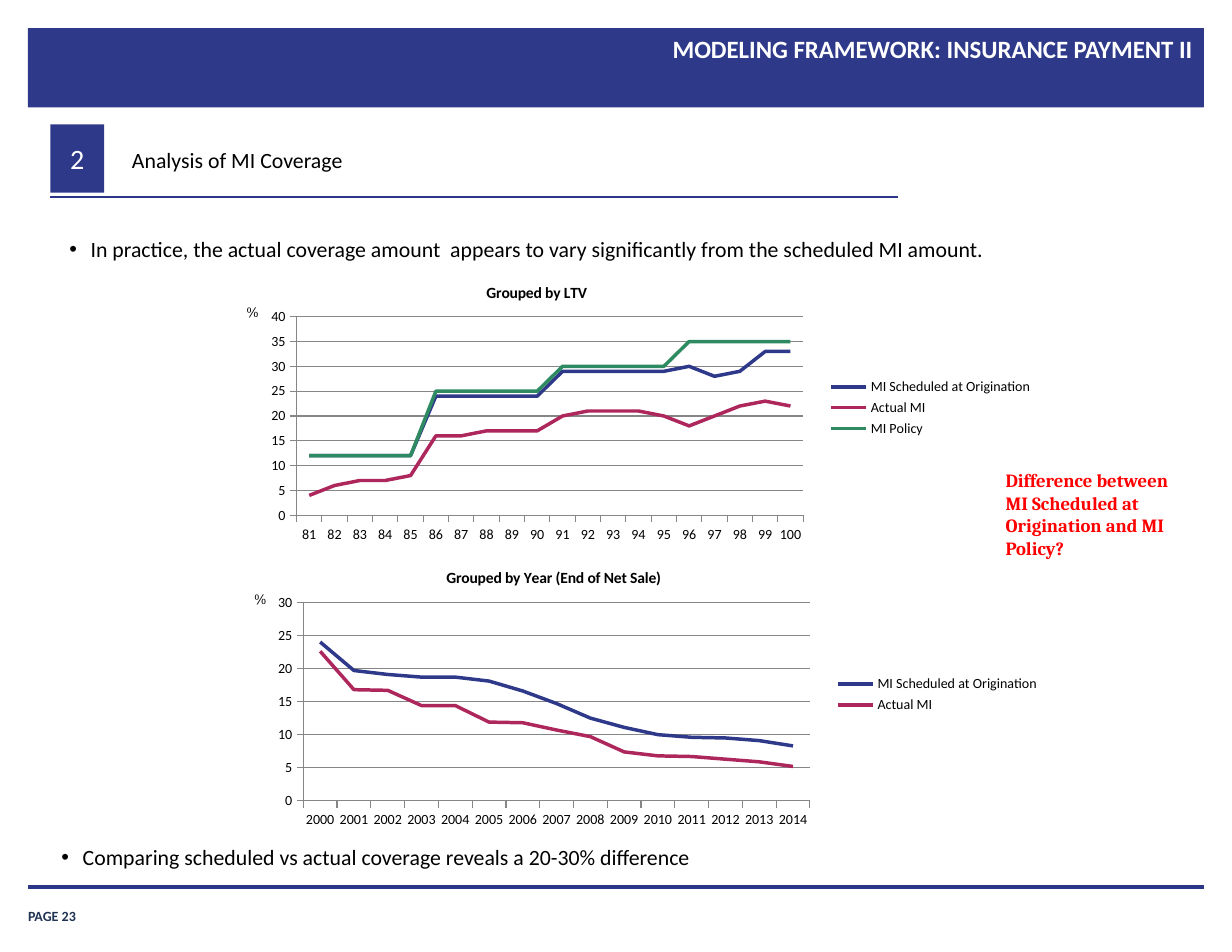
from lxml import etree
from pptx import Presentation
from pptx.chart.data import CategoryChartData
from pptx.dml.color import RGBColor
from pptx.enum.chart import XL_CHART_TYPE, XL_LEGEND_POSITION, XL_MARKER_STYLE, XL_TICK_MARK
from pptx.enum.shapes import MSO_CONNECTOR, MSO_SHAPE
from pptx.enum.text import MSO_ANCHOR, PP_ALIGN
from pptx.oxml.ns import qn
from pptx.util import Inches, Pt

LINE_CHART = XL_CHART_TYPE.LINE
LEGEND_RIGHT = XL_LEGEND_POSITION.RIGHT
NO_MARKER = XL_MARKER_STYLE.NONE
TICK_OUT = XL_TICK_MARK.OUTSIDE
STRAIGHT = MSO_CONNECTOR.STRAIGHT
RECTANGLE = MSO_SHAPE.RECTANGLE
TOP, MIDDLE, BOTTOM = MSO_ANCHOR.TOP, MSO_ANCHOR.MIDDLE, MSO_ANCHOR.BOTTOM
LEFT, CENTER, RIGHT = PP_ALIGN.LEFT, PP_ALIGN.CENTER, PP_ALIGN.RIGHT

BLUE = RGBColor(0x2E, 0x39, 0x8A)
RULE_BLUE = RGBColor(0x2B, 0x36, 0x89)
NAVY = RGBColor(0x20, 0x33, 0x53)
CRIMSON = RGBColor(0xAD, 0x27, 0x5C)
GREEN = RGBColor(0x2E, 0x8A, 0x60)
RED = RGBColor(0xFF, 0x00, 0x00)
GRAY = RGBColor(0x86, 0x86, 0x86)
BLACK = RGBColor(0x00, 0x00, 0x00)
WHITE = RGBColor(0xFF, 0xFF, 0xFF)

SERIES_COLORS = {
    "MI Scheduled at Origination": BLUE,
    "Actual MI": CRIMSON,
    "MI Policy": GREEN,
}
LTV_SERIES = {
    "MI Scheduled at Origination": [12] * 5 + [24] * 5 + [29] * 5 + [30, 28, 29, 33, 33],
    "Actual MI": [4, 6, 7, 7, 8, 16, 16, 17, 17, 17, 20, 21, 21, 21, 20, 18, 20, 22, 23, 22],
    "MI Policy": [12] * 5 + [25] * 5 + [30] * 5 + [35] * 5,
}
YEAR_SERIES = {
    "MI Scheduled at Origination": [
        24, 19.7, 19.1, 18.7, 18.7, 18.1, 16.6, 14.7, 12.5, 11.1, 10, 9.6, 9.5, 9.1, 8.3],
    "Actual MI": [
        22.6, 16.8, 16.7, 14.4, 14.4, 11.9, 11.8, 10.7, 9.7, 7.4, 6.8, 6.7, 6.3, 5.9, 5.2],
}


def set_font(font, size, color=BLACK, bold=False, name="Calibri"):
    for key, value in {"name": name, "size": Pt(size), "bold": bold}.items():
        setattr(font, key, value)
    font.color.rgb = color


def set_frame(frame, anchor=TOP, insets=(0.1, 0.05), wrap=True):
    across, down = (Inches(inset) for inset in insets)
    settings = {
        "word_wrap": wrap, "vertical_anchor": anchor,
        "margin_left": across, "margin_right": across,
        "margin_top": down, "margin_bottom": down,
    }
    for key, value in settings.items():
        setattr(frame, key, value)


def write(frame, text, size, align=LEFT, **font):
    paragraph = frame.paragraphs[0]
    paragraph.text = text
    paragraph.alignment = align
    set_font(paragraph.runs[0].font, size, **font)
    return paragraph


def add_text(slide, box, text, size, anchor=TOP, insets=(0.1, 0.05), wrap=True, **font):
    frame = slide.shapes.add_textbox(*map(Inches, box)).text_frame
    set_frame(frame, anchor, insets, wrap)
    return write(frame, text, size, **font)


def add_bullet(slide, box, text):
    paragraph = add_text(slide, box, text, 14)
    properties = paragraph._p.get_or_add_pPr()
    properties.set("marL", str(Inches(0.19)))
    properties.set("indent", str(Inches(-0.19)))
    paragraph.line_spacing = 1.5
    etree.SubElement(properties, qn("a:buFont"), typeface="Arial")
    etree.SubElement(properties, qn("a:buChar"), char="•")


def add_block(slide, box):
    block = slide.shapes.add_shape(RECTANGLE, *map(Inches, box))
    block.shadow.inherit = False
    block.fill.solid()
    block.fill.fore_color.rgb = BLUE
    block.line.fill.background()
    return block


def add_rule(slide, left, right, y, width):
    rule = slide.shapes.add_connector(STRAIGHT, Inches(left), Inches(y), Inches(right), Inches(y))
    rule.line.color.rgb = RULE_BLUE
    rule.line.width = Pt(width)
    etree.SubElement(rule._element.spPr, qn("a:effectLst"))


def place(part, **position):
    for old in part.findall(qn("c:layout")):
        part.remove(old)
    layout = etree.Element(qn("c:layout"))
    manual = etree.SubElement(layout, qn("c:manualLayout"))
    if "w" in position:
        etree.SubElement(manual, qn("c:layoutTarget"), val="inner")
    for axis in ("x", "y"):
        etree.SubElement(manual, qn(f"c:{axis}Mode"), val="edge")
    for key, value in position.items():
        etree.SubElement(manual, qn(f"c:{key}"), val=str(value))
    overlay = part.find(qn("c:overlay"))
    if overlay is None:
        part.insert(0, layout)
    else:
        overlay.addprevious(layout)


def add_line_chart(slide, left, top, title, categories, series, scale, title_x, legend_y):
    data = CategoryChartData()
    data.categories = categories
    for name, values in series.items():
        data.add_series(name, values)
    chart = slide.shapes.add_chart(
        LINE_CHART, Inches(left), Inches(top), Inches(6.96), Inches(2.57), data).chart
    set_font(chart.font, 9)
    chart.has_title = True
    write(chart.chart_title.text_frame, title, 10, CENTER, bold=True)
    chart.has_legend = True
    chart.legend.position = LEGEND_RIGHT
    chart.legend.include_in_layout = False

    for axis in (chart.category_axis, chart.value_axis):
        axis.major_tick_mark = TICK_OUT
        axis.format.line.color.rgb = GRAY
    value_axis = chart.value_axis
    scaling = {"minimum_scale": 0, "maximum_scale": scale, "major_unit": 5}
    for key, value in scaling.items():
        setattr(value_axis, key, value)
    value_axis.tick_labels.number_format = "0"
    value_axis.tick_labels.number_format_is_linked = False
    value_axis.major_gridlines.format.line.color.rgb = GRAY

    chart.plots[0].vary_by_categories = False
    for line in chart.plots[0].series:
        line.smooth = False
        line.marker.style = NO_MARKER
        line.format.line.color.rgb = SERIES_COLORS[line.name]
        line.format.line.width = Pt(2.25)

    body = chart.element.find(qn("c:chart"))
    place(body.find(qn("c:title")), x=title_x, y=0.06)
    place(body.find(qn("c:plotArea")), x=0.05, y=0.19, w=0.65, h=0.69)
    place(body.find(qn("c:legend")), x=0.73, y=legend_y)


def add_percent(slide, left, top):
    add_text(slide, (left, top, 0.1, 0.25), "%", 9, insets=(0, 0.05), wrap=False, name="Cambria")


def set_title(slide, text):
    title = slide.shapes.title
    box = {"left": 3.32, "top": 0.24, "width": 7.44, "height": 0.74}
    for key, value in box.items():
        setattr(title, key, Inches(value))
    set_frame(title.text_frame, insets=(0.11, 0.06))
    write(title.text_frame, text, 16, RIGHT, color=WHITE, bold=True)


def add_section_heading(slide, number, heading):
    badge = add_block(slide, (0.45, 1.11, 0.48, 0.61))
    set_frame(badge.text_frame, MIDDLE)
    write(badge.text_frame, number, 18, CENTER, color=WHITE)
    add_rule(slide, 0.45, 8.02, 1.76, 1)
    add_text(slide, (1.08, 1.26, 4.45, 0.34), heading, 14)


def main():
    presentation = Presentation()
    presentation.slide_width = Inches(11)
    presentation.slide_height = Inches(8.5)
    slide = presentation.slides.add_slide(presentation.slide_layouts[5])

    banner = add_block(slide, (0.25, 0.25, 10.5, 0.71))
    slide.shapes.title._element.addprevious(banner._element)
    set_title(slide, "MODELING FRAMEWORK: INSURANCE PAYMENT II")
    add_text(slide, (0.25, 8.02, 0.91, 0.23), "PAGE 23", 9, BOTTOM, (0, 0), color=NAVY, bold=True)
    add_rule(slide, 0.25, 10.75, 7.92, 2)

    add_section_heading(slide, "2", "Analysis of MI Coverage")
    add_bullet(slide, (0.52, 1.94, 9.68, 0.45),
               "In practice, the actual coverage amount  appears to vary significantly "
               "from the scheduled MI amount.")
    add_line_chart(slide, 2.3, 2.34, "Grouped by LTV", [str(ltv) for ltv in range(81, 101)],
                   LTV_SERIES, 40, 0.29, 0.39)
    add_percent(slide, 2.2, 2.66)
    add_line_chart(slide, 2.36, 4.89, "Grouped by Year (End of Net Sale)",
                   [str(year) for year in range(2000, 2015)], YEAR_SERIES, 30, 0.23, 0.43)
    add_percent(slide, 2.27, 5.22)
    add_bullet(slide, (0.45, 7.37, 9.68, 0.45),
               "Comparing scheduled vs actual coverage reveals a 20-30% difference")
    add_text(slide, (8.88, 4.14, 1.8, 0.91),
             "Difference between MI Scheduled at Origination and MI Policy?",
             12, color=RED, bold=True, name="Cambria")
    presentation.save("out.pptx")


if __name__ == "__main__":
    main()
